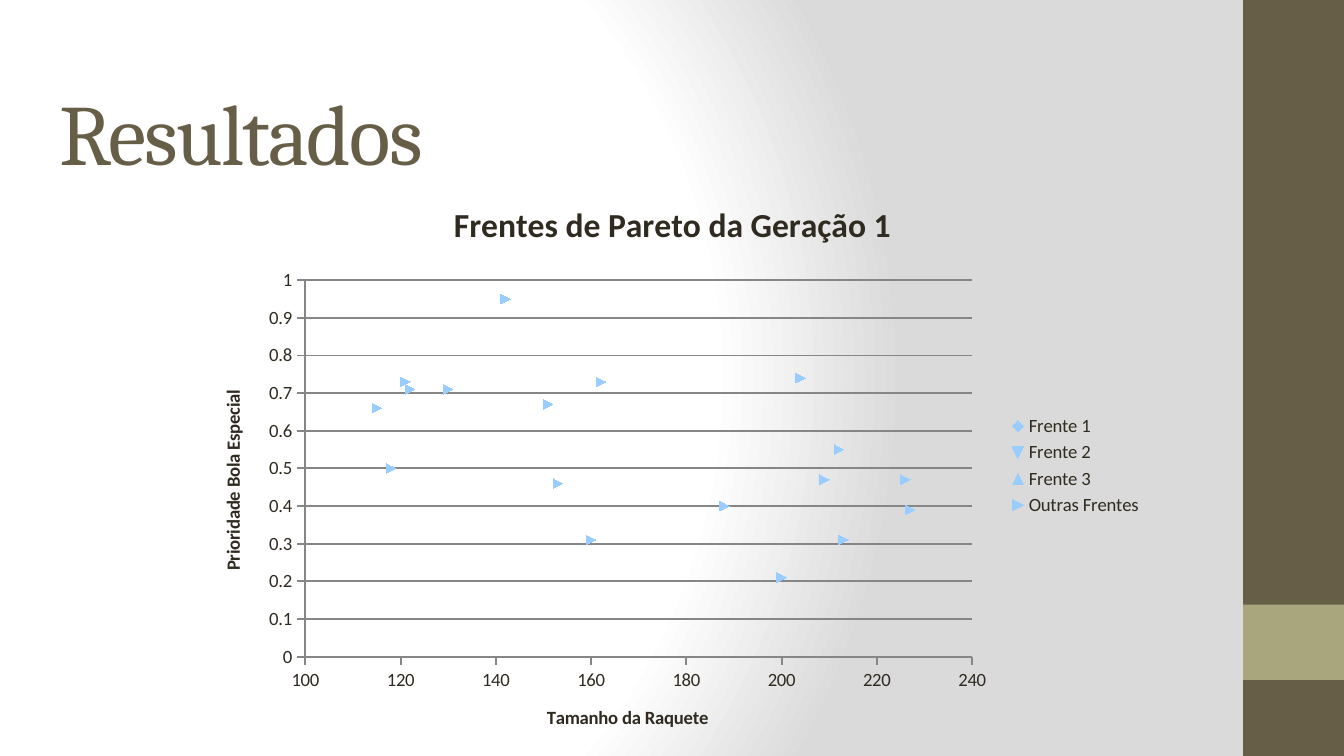
"""Build the results slide with its Pareto front scatter chart."""
from typing import NamedTuple, Optional

from lxml.etree import SubElement
from pptx import Presentation
from pptx.chart.data import XyChartData
from pptx.dml.color import RGBColor as Rgb
from pptx.enum.chart import XL_CHART_TYPE as Kind
from pptx.enum.chart import XL_LEGEND_POSITION as Place
from pptx.enum.chart import XL_MARKER_STYLE as Mark
from pptx.enum.chart import XL_TICK_MARK as Tick
from pptx.enum.shapes import MSO_SHAPE as Shape
from pptx.enum.text import MSO_ANCHOR as Anchor
from pptx.enum.text import PP_ALIGN as Align
from pptx.oxml import parse_xml
from pptx.oxml.ns import nsdecls, qn
from pptx.util import Inches, Pt

HUES = {"brown": "675E47", "sage": "A9A57C", "ink": "2F2B20",
        "grid": "868686", "mark": "99CCFF", "white": "FFFFFF", "gray": "DADADA"}
WIDE = Inches(10)
HIGH = Inches(10 * 9 / 16)
GAP = (None, None)


class Band(NamedTuple):
    top: int
    high: int
    hue: str


class Front(NamedTuple):
    name: str
    mark: Mark
    points: list[tuple[Optional[int], Optional[float]]]


BANDS = [Band(0, HIGH, "brown"), Band(Inches(4.5), Inches(0.56), "sage")]
FRONTS = [
    Front("Frente 1", Mark.DIAMOND, [(83, 0.25), (90, 0.08), (120, 0)]),
    Front("Frente 2", Mark.AUTOMATIC, [(94, 0.09), (187, 0.03), (237, 0.01)]),
    Front("Frente 3", Mark.TRIANGLE, [
        (108, 0.39), (108, 0.22), (150, 0.19), (156, 0.16), (212, 0.08),
        (239, 0.08)]),
    Front("Outras Frentes", Mark.DOT, [
        (115, 0.66), (118, 0.5), (153, 0.46), (160, 0.31), (200, 0.21), GAP,
        (121, 0.73), (122, 0.71), (151, 0.67), (188, 0.4), (213, 0.31), GAP,
        (130, 0.71), (209, 0.47), (227, 0.39), GAP, (142, 0.95), (162, 0.73),
        (212, 0.55), (226, 0.47), GAP, (204, 0.74)]),
]


def tint(hue: str) -> Rgb:
    """Return a named colour."""
    return Rgb.from_string(HUES[hue])


def write(frame, text: str, size: float, hue: str = "ink",
          face: str = "Calibri", bold: bool = False, gap: int = 0,
          align: Align = Align.CENTER) -> None:
    """Put one formatted run of text in a frame."""
    line = frame.paragraphs[0]
    line.alignment = align
    run = line.add_run()
    run.text = text
    font = run.font
    font.size, font.name, font.bold = Pt(size), face, bold
    font.color.rgb = tint(hue)
    if gap:
        font._element.set("spc", str(gap))


def paint(slide) -> None:
    """Give the slide its round gradient."""
    stops = "".join(
        f'<a:gs pos="{at * 1000}"><a:srgbClr val="{HUES[hue]}"/></a:gs>'
        for at, hue in ((0, "white"), (75, "white"), (100, "gray")))
    slide._element.cSld.insert(0, parse_xml(
        f'<p:bg {nsdecls("p", "a")}><p:bgPr><a:gradFill rotWithShape="1">'
        f'<a:gsLst>{stops}</a:gsLst><a:path path="circle">'
        '<a:fillToRect l="20000" t="50000" r="100000" b="50000"/></a:path>'
        '</a:gradFill><a:effectLst/></p:bgPr></p:bg>'))


def block(slide, band: Band) -> None:
    """Draw one block of the right edge."""
    shape = slide.shapes.add_shape(
        Shape.RECTANGLE, Inches(9.25), band.top, Inches(0.75), band.high)
    shape.shadow.inherit = False
    shape.fill.solid()
    shape.fill.fore_color.rgb = tint(band.hue)
    shape.line.fill.background()


def head(slide) -> None:
    """Place and fill the title."""
    title = slide.shapes.title
    title.left, title.top = Inches(0.34), Inches(0.49)
    title.width, title.height = Inches(9.32), Inches(0.63)
    frame = title.text_frame
    frame.margin_left = frame.margin_right = Inches(0.1)
    frame.margin_top = frame.margin_bottom = Inches(0.1)
    frame.vertical_anchor = Anchor.TOP
    write(frame, "Resultados", 46, hue="brown", face="Cambria", gap=-100,
          align=Align.LEFT)
    slide.shapes._spTree.append(title._element)


def rule(line) -> None:
    """Style an axis or grid line."""
    line.color.rgb, line.width = tint("grid"), Pt(1)


def scale(axis, text: str, low: float, high: float, step: float) -> None:
    """Set up one axis."""
    axis.minimum_scale, axis.maximum_scale, axis.major_unit = low, high, step
    axis.major_tick_mark, axis.minor_tick_mark = Tick.OUTSIDE, Tick.NONE
    axis.tick_labels.number_format = "General"
    axis.tick_labels.number_format_is_linked = False
    rule(axis.format.line)
    write(axis.axis_title.text_frame, text, 10, bold=True)


def clear(chart) -> None:
    """Leave the gaps between fronts without a value."""
    for cell in list(chart._chartSpace.iter(qn("c:pt"))):
        if cell.findtext(qn("c:v")) == "None":
            cell.getparent().remove(cell)


def fit(chart) -> None:
    """Fix the inner plot area."""
    area = chart._chartSpace.chart.plotArea
    for old in area.findall(qn("c:layout")):
        area.remove(old)
    box = parse_xml(f'<c:layout {nsdecls("c")}><c:manualLayout/></c:layout>')
    for tag, val in (("layoutTarget", "inner"), ("xMode", "edge"),
                     ("yMode", "edge"), ("x", 0.12), ("y", 0.18),
                     ("w", 0.69), ("h", 0.65)):
        SubElement(box[0], qn(f"c:{tag}")).set("val", str(val))
    area.insert(0, box)


def plot(slide) -> None:
    """Add the scatter chart."""
    data = XyChartData()
    for front in FRONTS:
        row = data.add_series(front.name)
        for x, y in front.points:
            for _ in range(2):
                row.add_data_point(x, y)
    chart = slide.shapes.add_chart(
        Kind.XY_SCATTER, Inches(1.41), Inches(1.31), Inches(7.19),
        Inches(4.31), data).chart
    clear(chart)
    font = chart.font
    font.name, font.size, font.color.rgb = "Calibri", Pt(10), tint("ink")
    write(chart.chart_title.text_frame, "Frentes de Pareto da Geração 1", 18,
          bold=True)
    chart.has_legend = True
    chart.legend.position = Place.RIGHT
    chart.legend.include_in_layout = False
    scale(chart.category_axis, "Tamanho da Raquete", 100, 240, 20)
    scale(chart.value_axis, "Prioridade Bola Especial", 0, 1, 0.1)
    chart.category_axis.has_major_gridlines = False
    rule(chart.value_axis.major_gridlines.format.line)
    chart.plots[0].vary_by_categories = False
    for front, row in zip(FRONTS, chart.plots[0].series):
        row.format.line.fill.background()
        row.smooth = False
        mark = row.marker
        mark.style, mark.size = front.mark, 5
        mark.format.fill.solid()
        mark.format.fill.fore_color.rgb = tint("mark")
        mark.format.line.fill.background()
    fit(chart)


def main() -> None:
    """Build and save the deck."""
    deck = Presentation()
    deck.slide_width, deck.slide_height = WIDE, HIGH
    slide = deck.slides.add_slide(deck.slide_layouts[5])
    paint(slide)
    for band in BANDS:
        block(slide, band)
    head(slide)
    plot(slide)
    deck.save("out.pptx")


if __name__ == "__main__":
    main()
